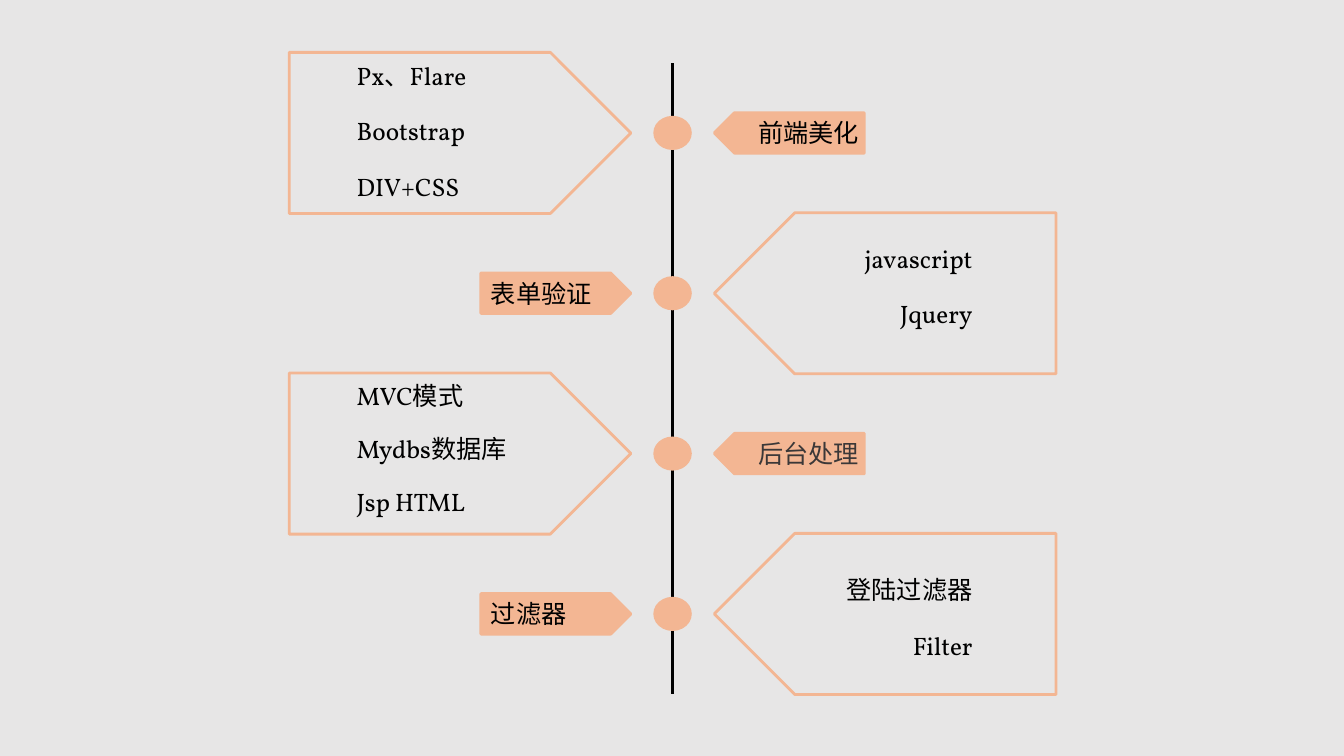
from dataclasses import dataclass

from pptx import Presentation
from pptx.dml.color import RGBColor
from pptx.enum import shapes, text
from pptx.oxml import ns
from pptx.util import Cm, Pt
from lxml import etree


@dataclass(frozen=True)
class Theme:
    """Colours, fonts and sizes of the slide."""
    background: str = "E7E6E6"
    accent: str = "F3B693"
    ink: str = "000000"
    soft_ink: str = "3B3838"
    font: str = "Vollkorn"
    plain_font: str = "Calibri"
    size: int = 18
    outline: float = 2
    axis_width: float = 1.75


THEME = Theme()
AXIS_X = 16.95
FIRST_ROW, ROW_PITCH = 3.35, 4.04
TIP_GAP = 1.05
PANEL_WIDTH, PANEL_HEIGHT = 8.61, 4.06
TAG_WIDTH, TAG_HEIGHT = 3.78, 1.02
DOT_WIDTH, DOT_HEIGHT = 0.97, 0.86

ROWS = [
    dict(label="前端美化", lines=["Px、Flare", "Bootstrap", "DIV+CSS"],
         top=0.07, gap=18),
    dict(label="表单验证", lines=["javascript", "Jquery"], top=0.64, gap=18),
    dict(label="后台处理", lines=["MVC模式", "Mydbs数据库", "Jsp HTML"],
         top=0.07, gap=16,
         label_format=dict(font=THEME.plain_font, color=THEME.soft_ink)),
    dict(label="过滤器", lines=["登陆过滤器", "Filter"], top=0.91, gap=18),
]


def rgb(value):
    """Turn a hex string into a colour."""
    return RGBColor.from_string(value)


def add_text(slide, lines, left, top, width, height, *, font=THEME.font,
             color=THEME.ink, size=THEME.size, align=text.PP_ALIGN.LEFT, gap=0):
    """Write one paragraph per line, with a gap in points between them."""
    frame = slide.shapes.add_textbox(
        Cm(left), Cm(top), Cm(width), Cm(height)).text_frame
    frame.word_wrap = True
    for index, line in enumerate(lines):
        paragraph = frame.paragraphs[0] if index == 0 else frame.add_paragraph()
        paragraph.alignment = align
        paragraph.space_before = Pt(gap if index else 0)
        run = paragraph.add_run()
        run.text = line
        run.font.name = font
        run.font.size = Pt(size)
        run.font.color.rgb = rgb(color)


def add_accent_shape(slide, kind, left, top, width, height, *,
                     filled=True, outlined=True, rotation=0):
    """Place a shape in the accent colour."""
    shape = slide.shapes.add_shape(kind, Cm(left), Cm(top), Cm(width), Cm(height))
    shape.shadow.inherit = False
    shape.rotation = rotation
    if filled:
        shape.fill.solid()
        shape.fill.fore_color.rgb = rgb(THEME.accent)
    else:
        shape.fill.background()
    if outlined:
        shape.line.color.rgb = rgb(THEME.accent)
        shape.line.width = Pt(THEME.outline)
    else:
        shape.line.fill.background()


def add_axis(slide, x, top, bottom):
    """Draw the vertical time axis."""
    axis = slide.shapes.add_connector(
        shapes.MSO_CONNECTOR.STRAIGHT, Cm(x), Cm(top), Cm(x), Cm(bottom))
    axis.line.color.rgb = rgb(THEME.ink)
    axis.line.width = Pt(THEME.axis_width)
    etree.SubElement(axis._element.spPr, ns.qn("a:effectLst"))


def add_pentagon(slide, tip_x, center_y, width, height, *, on_left, filled):
    """Point a pentagon at the axis and return its left and top."""
    left = tip_x - width if on_left else tip_x
    top = center_y - height / 2
    add_accent_shape(slide, shapes.MSO_SHAPE.PENTAGON, left, top, width, height,
                     filled=filled, rotation=0 if on_left else 180)
    return left, top


def add_panel(slide, tip_x, center_y, row, on_left):
    """Draw an outlined panel with its list of techniques."""
    left, top = add_pentagon(slide, tip_x, center_y, PANEL_WIDTH, PANEL_HEIGHT,
                             on_left=on_left, filled=False)
    width = 5.77
    text_left = left + 1.45 if on_left else left + PANEL_WIDTH - 1.85 - width
    align = text.PP_ALIGN.LEFT if on_left else text.PP_ALIGN.RIGHT
    add_text(slide, row["lines"], text_left, top + row["top"], width,
             PANEL_HEIGHT - row["top"], align=align, gap=row["gap"])


def add_tag(slide, tip_x, center_y, row, on_left):
    """Draw a filled tag with its label."""
    left, top = add_pentagon(slide, tip_x, center_y, TAG_WIDTH, TAG_HEIGHT,
                             on_left=on_left, filled=True)
    add_text(slide, [row["label"]], left if on_left else left + 0.86, top,
             3.2, TAG_HEIGHT, **row.get("label_format", {}))


def add_row(slide, center_y, row, panel_on_left):
    """Place a dot on the axis, with the panel and the tag on either side."""
    add_accent_shape(slide, shapes.MSO_SHAPE.OVAL, AXIS_X - DOT_WIDTH / 2,
                     center_y - DOT_HEIGHT / 2, DOT_WIDTH, DOT_HEIGHT,
                     outlined=False)
    tips = {True: AXIS_X - TIP_GAP, False: AXIS_X + TIP_GAP}
    add_panel(slide, tips[panel_on_left], center_y, row, panel_on_left)
    add_tag(slide, tips[not panel_on_left], center_y, row, not panel_on_left)


def add_timeline_slide(presentation):
    """Build the timeline with alternating sides."""
    slide = presentation.slides.add_slide(presentation.slide_layouts[6])
    slide.background.fill.solid()
    slide.background.fill.fore_color.rgb = rgb(THEME.background)
    add_axis(slide, AXIS_X, 1.6, 17.5)
    for index, row in enumerate(ROWS):
        add_row(slide, FIRST_ROW + index * ROW_PITCH, row, index % 2 == 0)


def main():
    """Create and save the presentation."""
    presentation = Presentation()
    presentation.slide_width = Cm(33.87)
    presentation.slide_height = Cm(19.05)
    add_timeline_slide(presentation)
    presentation.save("out.pptx")


if __name__ == "__main__":
    main()
